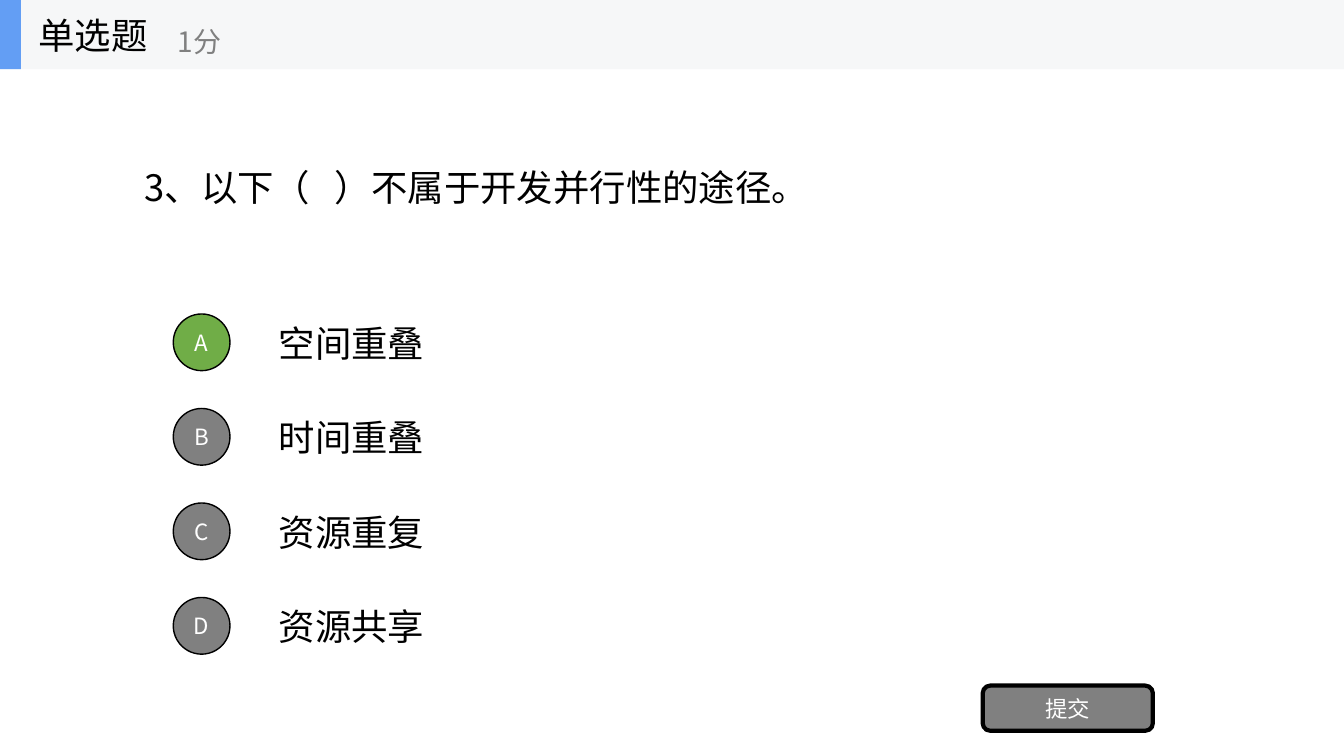
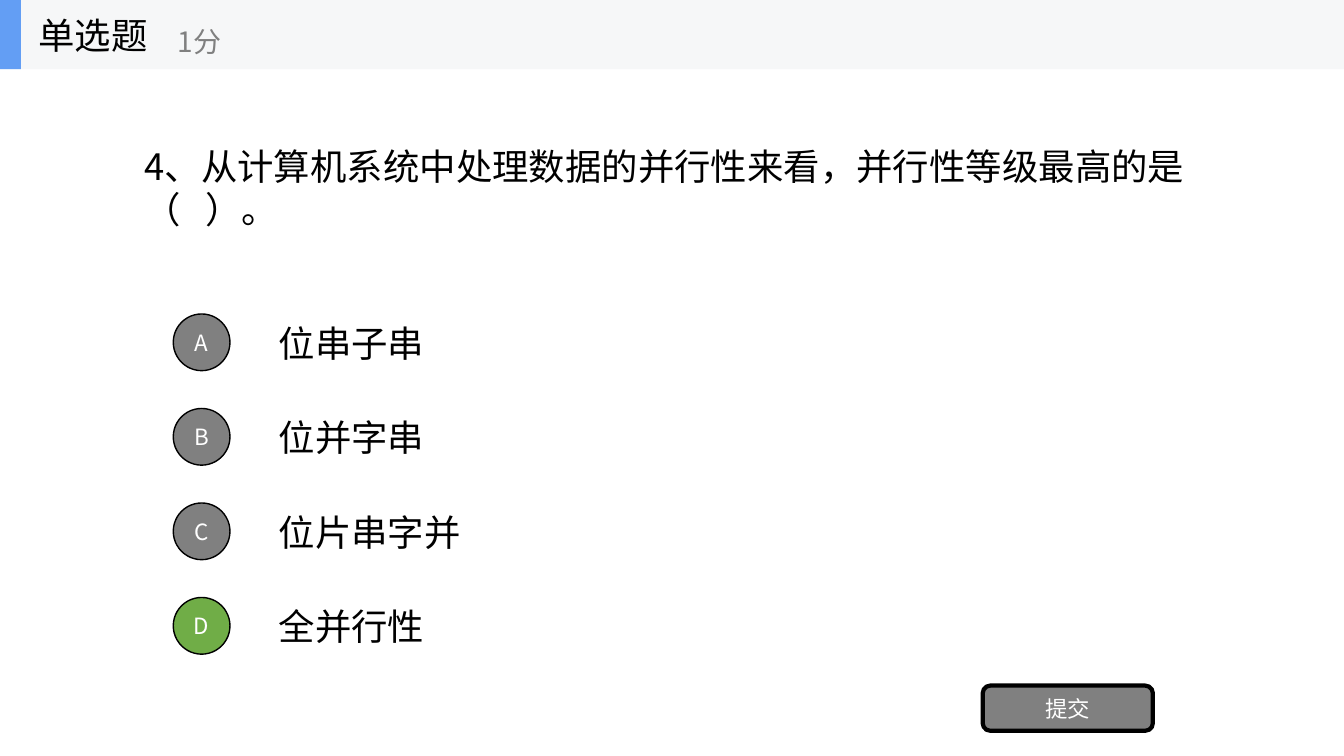
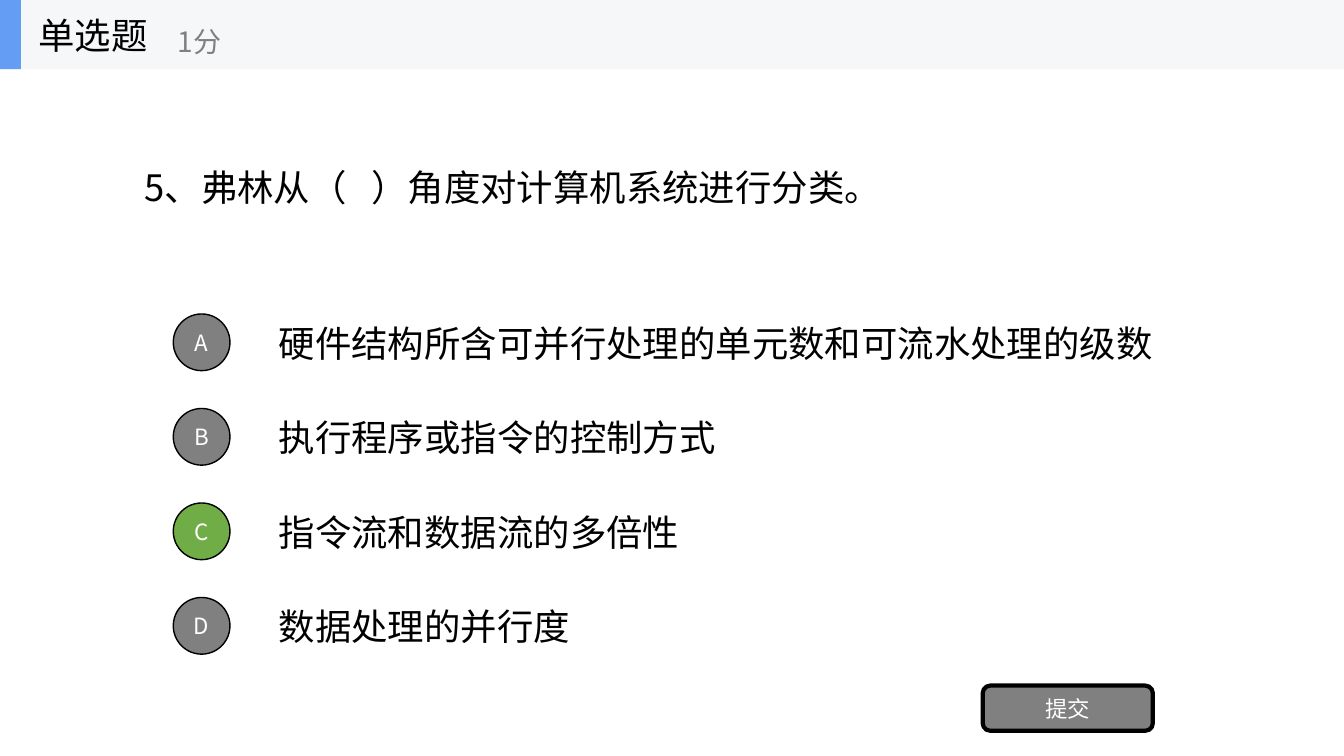
import dataclasses

import lxml.etree
import pptx
import pptx.dml.color
import pptx.enum.shapes
import pptx.enum.text
import pptx.oxml.ns
import pptx.util

SHAPE = pptx.enum.shapes.MSO_SHAPE
ALIGN = pptx.enum.text.PP_ALIGN
PX = 9525  # EMU in one px, 96 px to the inch
PAGE_WIDTH, PAGE_HEIGHT = 1280, 720
TITLE_ONLY = 5


@dataclasses.dataclass(frozen=True)
class Theme:
    font: str = "Noto Sans CJK SC"
    ink: str = "000000"
    paper: str = "FFFFFF"
    muted: str = "808080"
    correct: str = "70AD47"
    band: str = "F6F7F8"
    accent: str = "639EF4"
    body_size: int = 26
    score_size: int = 20
    label_size: int = 16


THEME = Theme()

# Page geometry in px
BAND_HEIGHT = 66
QUESTION_BOX = (128, BAND_HEIGHT, 1024, 225)
OPTION_TOP, OPTION_PITCH, OPTION_HEIGHT = 293, 90, 67
OPTION_LEFT, OPTION_WIDTH = 256, 896
BADGE_LEFT, BADGE_SIZE = 165, 54
BUTTON_BOX = (936, 653, 162, 43)

# Question, options, letter of the right answer
QUESTIONS = [
    ("3、以下（   ）不属于开发并行性的途径。",
     ["空间重叠", "时间重叠", "资源重复", "资源共享"], "A"),
    ("4、从计算机系统中处理数据的并行性来看，并行性等级最高的是（   ）。",
     ["位串子串", "位并字串", "位片串字并", "全并行性"], "D"),
    ("5、弗林从（   ）角度对计算机系统进行分类。",
     ["硬件结构所含可并行处理的单元数和可流水处理的级数",
      "执行程序或指令的控制方式", "指令流和数据流的多倍性", "数据处理的并行度"], "C"),
]


def emu(box):
    return [length * PX for length in box]


def rgb(value):
    return pptx.dml.color.RGBColor.from_string(value)


def write(shape, text, size, color, align=ALIGN.LEFT):
    """Put one formatted line of text into a shape."""
    frame = shape.text_frame
    frame_format = {
        "word_wrap": True,
        "auto_size": pptx.enum.text.MSO_AUTO_SIZE.NONE,
        "vertical_anchor": pptx.enum.text.MSO_ANCHOR.MIDDLE,
    }
    for name, value in frame_format.items():
        setattr(frame, name, value)
    para = frame.paragraphs[0]
    para.alignment = align
    span = para.add_run()
    span.text = text
    font_format = {"name": THEME.font, "size": pptx.util.Pt(size), "bold": False}
    for name, value in font_format.items():
        setattr(span.font, name, value)
    span.font.color.rgb = rgb(color)
    # East Asian typeface
    east_asian = lxml.etree.SubElement(span.font._element, pptx.oxml.ns.qn("a:ea"))
    east_asian.set("typeface", THEME.font)


def add_text(shapes, box, text, size, color):
    write(shapes.add_textbox(*emu(box)), text, size, color)


def add_block(shapes, kind, box, fill, line_width=0):
    block = shapes.add_shape(kind, *emu(box))
    block.shadow.inherit = False
    block.fill.solid()
    block.fill.fore_color.rgb = rgb(fill)
    if line_width:
        block.line.color.rgb = rgb(THEME.ink)
        block.line.width = pptx.util.Pt(line_width)
    else:
        block.line.fill.background()
    return block


def add_label(page, kind, box, fill, line_width, text):
    """Outlined shape with a centred white label."""
    block = add_block(page.shapes, kind, box, fill, line_width)
    write(block, text, THEME.label_size, THEME.paper, ALIGN.CENTER)


def add_header(page):
    shapes = page.shapes.add_group_shape().shapes
    add_block(shapes, SHAPE.RECTANGLE, (0, 0, PAGE_WIDTH, BAND_HEIGHT), THEME.band)
    add_block(shapes, SHAPE.RECTANGLE, (0, 0, 20, BAND_HEIGHT), THEME.accent)
    add_text(shapes, (27, 0, 200, BAND_HEIGHT), "单选题", THEME.body_size, THEME.ink)
    add_text(shapes, (160, 12, 240, 54), "1分", THEME.score_size, THEME.muted)


def add_question(page, text):
    title = page.shapes.title
    for name, value in zip(("left", "top", "width", "height"), emu(QUESTION_BOX)):
        setattr(title, name, value)
    write(title, text, THEME.body_size, THEME.ink)


def add_options(page, options, answer):
    inset = (OPTION_HEIGHT - BADGE_SIZE) // 2
    for row, (letter, option) in enumerate(zip("ABCD", options)):
        top = OPTION_TOP + row * OPTION_PITCH
        add_text(page.shapes, (OPTION_LEFT, top, OPTION_WIDTH, OPTION_HEIGHT),
                 option, THEME.body_size, THEME.ink)
        fill = THEME.correct if letter == answer else THEME.muted
        badge_box = (BADGE_LEFT, top + inset, BADGE_SIZE, BADGE_SIZE)
        add_label(page, SHAPE.OVAL, badge_box, fill, 1, letter)


def main():
    deck = pptx.Presentation()
    deck.slide_width, deck.slide_height = emu((PAGE_WIDTH, PAGE_HEIGHT))
    for question, options, answer in QUESTIONS:
        page = deck.slides.add_slide(deck.slide_layouts[TITLE_ONLY])
        add_question(page, question)
        add_options(page, options, answer)
        add_label(page, SHAPE.ROUNDED_RECTANGLE, BUTTON_BOX, THEME.muted, 3, "提交")
        add_header(page)
    deck.save("out.pptx")


if __name__ == "__main__":
    main()
